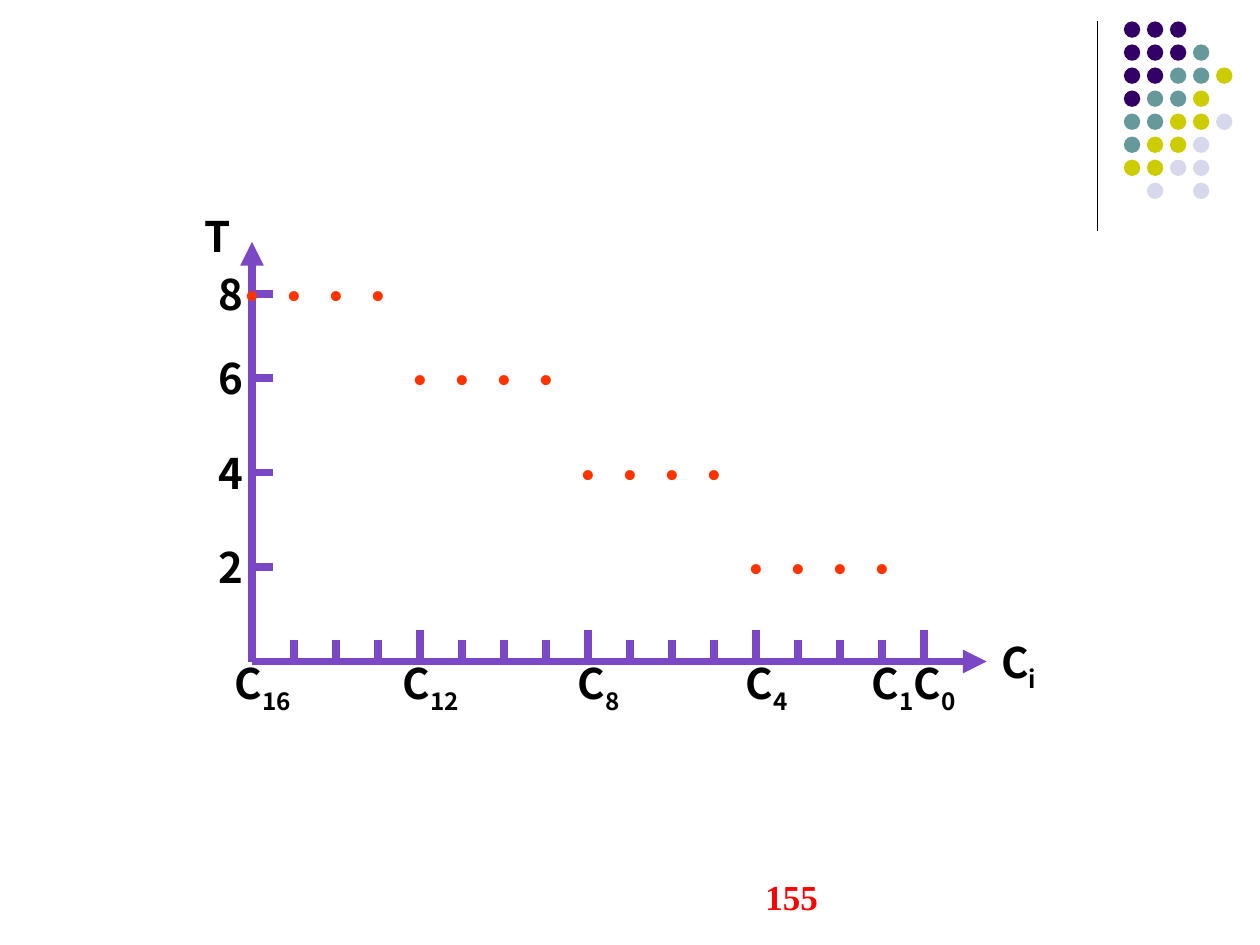
import pptx
import pptx.dml.color
import pptx.enum.shapes
import pptx.enum.text
import pptx.oxml.ns
import pptx.util
from lxml import etree

RGBColor = pptx.dml.color.RGBColor
BLACK = RGBColor(0x00, 0x00, 0x00)
AXIS_PURPLE = RGBColor(0x7A, 0x48, 0xC4)
POINT_RED = RGBColor(0xFF, 0x33, 0x00)
NUMBER_RED = RGBColor(0xFF, 0x00, 0x00)
ORNAMENT_COLOURS = {
    "P": RGBColor(0x33, 0x00, 0x66),
    "T": RGBColor(0x66, 0x99, 0x99),
    "Y": RGBColor(0xCC, 0xCC, 0x00),
    "L": RGBColor(0xD8, 0xD8, 0xEC),
}
ORNAMENT_ROWS = ["PPP", "PPPT", "PPTTY", "PTTY", "TTYYL", "TYYL", "YYLL", " L L"]

SANS = "Noto Sans CJK SC"
SERIF = "Times New Roman"
ALIGN = pptx.enum.text.PP_ALIGN

# Plot grid: one column for each C, one level for each T
ORIGIN_X, ORIGIN_Y = 2, 5.25
COLUMN = 1 / 3
LAST_C = 16
POINTS_PER_STEP = 4
LEVELS = {8: 2.33, 6: 3, 4: 3.75, 2: 4.5}
LABEL_HEIGHT = 0.5


def column_x(column):
    return ORIGIN_X + column * COLUMN


def add_line(slide, start, end, colour, width, arrow=False):
    line = slide.shapes.add_connector(
        pptx.enum.shapes.MSO_CONNECTOR.STRAIGHT,
        *(pptx.util.Inches(length) for length in (*start, *end)))
    line.line.color.rgb = colour
    line.line.width = pptx.util.Pt(width)
    qn = pptx.oxml.ns.qn
    if arrow:
        etree.SubElement(line.line._get_or_add_ln(), qn("a:tailEnd"), type="triangle")
    etree.SubElement(line._element.spPr, qn("a:effectLst"))


def add_label(slide, left, top, width, text, subscript="", font=SANS, size=24,
              colour=BLACK, bold=True, align=ALIGN.CENTER):
    label = slide.shapes.add_textbox(
        *(pptx.util.Inches(length) for length in (left, top, width, LABEL_HEIGHT)))
    label.text_frame.word_wrap = True
    paragraph = label.text_frame.paragraphs[0]
    paragraph.alignment = align
    for part, baseline in ((text, None), (subscript, "-25000")):
        if not part:
            continue
        run = paragraph.add_run()
        run.text = part
        run.font.name = font
        run.font.size = pptx.util.Pt(size)
        run.font.bold = bold
        run.font.color.rgb = colour
        if baseline:
            run.font._element.set("baseline", baseline)
    return label


def add_ornament(slide):
    add_line(slide, (8.71, 0.17), (8.71, 1.83), BLACK, 0.75)
    pitch = 1.28 / 7
    diameter = pptx.util.Inches(0.13)
    for row, letters in enumerate(ORNAMENT_ROWS):
        for column, letter in enumerate(letters):
            if letter == " ":
                continue
            dot = slide.shapes.add_shape(
                pptx.enum.shapes.MSO_SHAPE.OVAL,
                pptx.util.Inches(8.92 + column * pitch),
                pptx.util.Inches(0.17 + row * pitch), diameter, diameter)
            dot.shadow.inherit = False
            dot.fill.solid()
            dot.fill.fore_color.rgb = ORNAMENT_COLOURS[letter]
            dot.line.fill.background()


def add_axes(slide):
    origin = (ORIGIN_X, ORIGIN_Y)
    add_line(slide, origin, (7.83, ORIGIN_Y), AXIS_PURPLE, 4.5, arrow=True)
    add_line(slide, origin, (ORIGIN_X, 1.92), AXIS_PURPLE, 4.5, arrow=True)
    add_label(slide, 7.5, 5, 1.17, "C", "i")
    add_label(slide, 1.44, 1.62, 0.58, "T")

    # Ticks along C, longer at each step
    for column in range(1, LAST_C + 1):
        x = column_x(column)
        top = 5 if column % POINTS_PER_STEP == 0 else 5.08
        add_line(slide, (x, top), (x, ORIGIN_Y), AXIS_PURPLE, 4.5)
    for c in (16, 12, 8, 4, 1, 0):
        add_label(slide, column_x(LAST_C - c) - 0.5, 5.17, 1.17, "C", str(c))

    # Ticks along T
    for value, y in LEVELS.items():
        add_line(slide, (ORIGIN_X, y), (2.17, y), AXIS_PURPLE, 4.5)
        add_label(slide, 1.58, y - LABEL_HEIGHT / 2, 0.5, str(value))


def add_points(slide):
    width = 0.83
    for step, y in enumerate(LEVELS.values()):
        for index in range(POINTS_PER_STEP):
            x = column_x(step * POINTS_PER_STEP + index)
            add_label(slide, x - width / 2, y - LABEL_HEIGHT / 2, width, "•",
                      font=SERIF, colour=POINT_RED, bold=False)


def main():
    presentation = pptx.Presentation()
    presentation.slide_width = pptx.util.Inches(10)
    presentation.slide_height = pptx.util.Inches(7.5)
    slide = presentation.slides.add_slide(presentation.slide_layouts[6])

    add_ornament(slide)
    add_axes(slide)
    add_points(slide)

    # Page number
    number = add_label(slide, 3.42, 6.83, 3.17, "155", font=SERIF, size=20,
                       colour=NUMBER_RED, align=ALIGN.RIGHT)
    number.text_frame.vertical_anchor = pptx.enum.text.MSO_ANCHOR.BOTTOM

    presentation.save("out.pptx")


if __name__ == "__main__":
    main()
